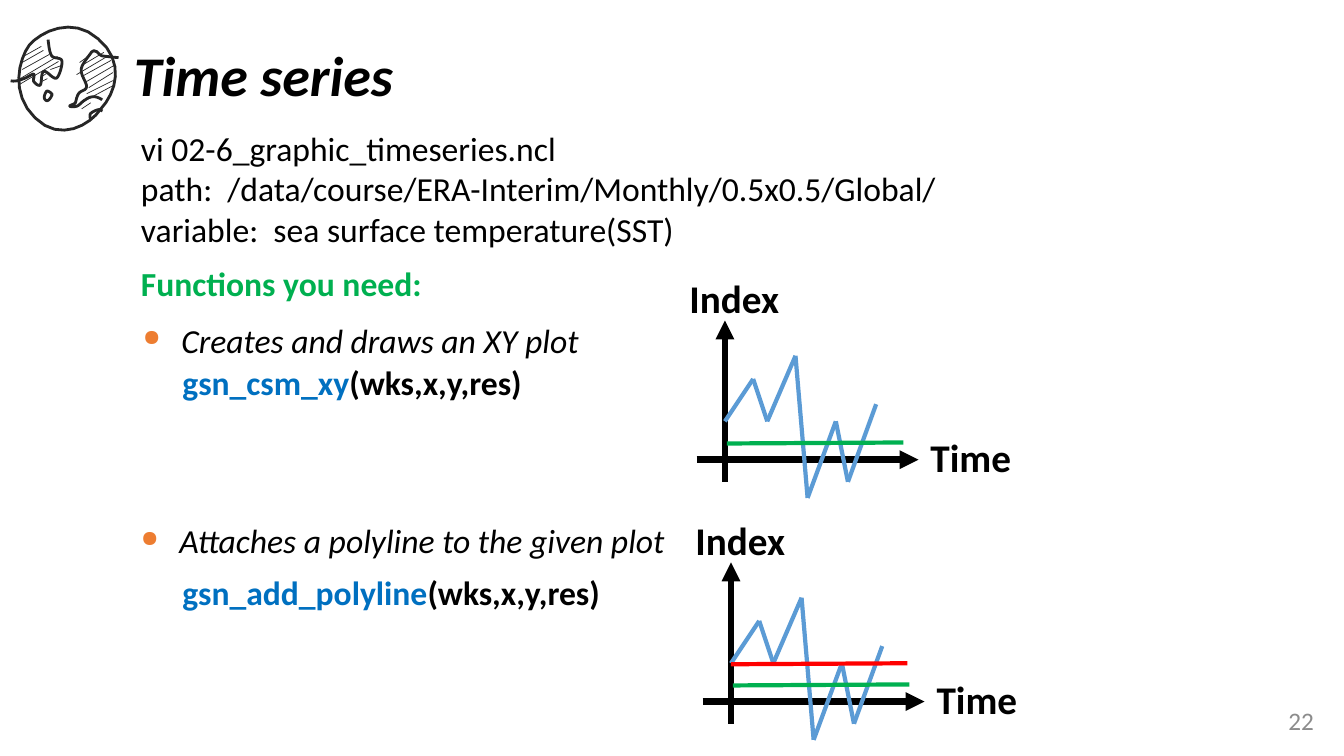
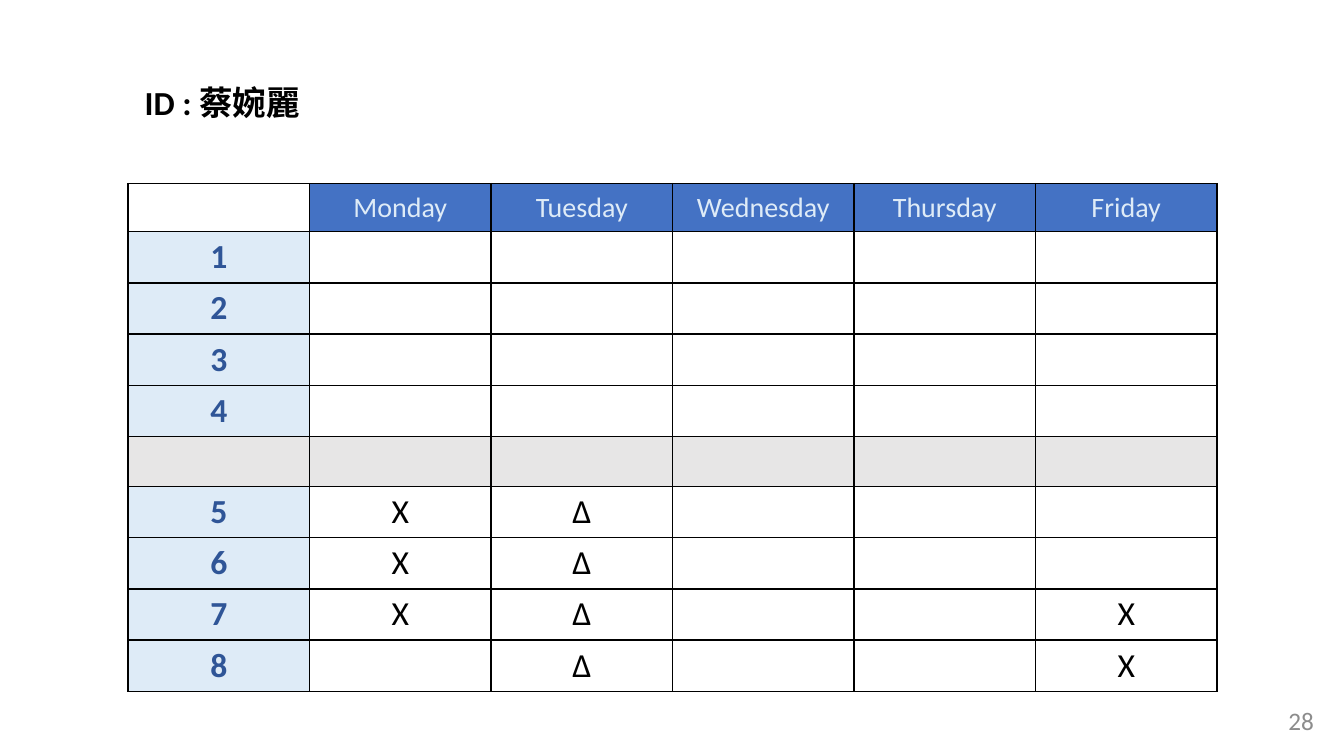
from itertools import pairwise

from lxml import etree
from pptx import Presentation
from pptx.dml.color import RGBColor
from pptx.enum.shapes import MSO_CONNECTOR as Connector
from pptx.enum.text import MSO_ANCHOR as Anchor, MSO_AUTO_SIZE as AutoSize, PP_ALIGN as Align
from pptx.oxml.ns import qn
from pptx.util import Inches, Pt

BLACK = RGBColor(0x00, 0x00, 0x00)
WHITE = RGBColor(0xFF, 0xFF, 0xFF)
INK = RGBColor(0x26, 0x26, 0x26)
PAGE_GRAY = RGBColor(0x8C, 0x8C, 0x8C)
BREAK_GRAY = RGBColor(0xE7, 0xE6, 0xE6)
GREEN = RGBColor(0x00, 0xB0, 0x50)
RED = RGBColor(0xFF, 0x00, 0x00)
CODE_BLUE = RGBColor(0x00, 0x70, 0xC0)
SERIES_BLUE = RGBColor(0x5B, 0x9B, 0xD5)
HEADER_BLUE = RGBColor(0x44, 0x72, 0xC4)
PALE_BLUE = RGBColor(0xDE, 0xEB, 0xF7)
PERIOD_BLUE = RGBColor(0x2F, 0x55, 0x97)
ORANGE = RGBColor(0xED, 0x7D, 0x31)

LATIN_FONT = "Calibri"
CJK_FONT = "Noto Sans CJK SC"

# Each outline: a start point, then three points for every Bézier curve.
GLOBE_OUTLINES = [
    [(0.2, 0.59), (0.26, 0.43), (0.5, 0.17), (0.82, 0.3), (1.15, 0.42), (1.17, 0.74),
     (1.08, 0.95), (1.04, 1.12), (0.82, 1.4), (0.5, 1.25), (0.18, 1.11), (0.15, 0.75),
     (0.2, 0.59)],
    [(0.39, 0.38), (0.42, 0.44), (0.45, 0.5), (0.48, 0.52), (0.51, 0.54), (0.57, 0.5),
     (0.59, 0.53), (0.61, 0.56), (0.62, 0.68), (0.6, 0.71), (0.58, 0.74), (0.48, 0.67),
     (0.46, 0.69), (0.43, 0.71), (0.48, 0.8), (0.47, 0.83), (0.46, 0.85), (0.41, 0.83),
     (0.4, 0.82), (0.38, 0.81), (0.39, 0.75), (0.37, 0.75), (0.36, 0.75), (0.32, 0.81),
     (0.29, 0.83), (0.26, 0.86), (0.21, 0.89), (0.18, 0.89)],
    [(0.45, 0.91), (0.46, 0.9), (0.52, 0.92), (0.51, 0.93), (0.51, 0.95), (0.5, 1.01),
     (0.47, 1), (0.43, 0.99), (0.44, 0.92), (0.45, 0.91)],
    [(1.08, 0.5), (1.02, 0.52), (0.96, 0.53), (0.92, 0.54), (0.88, 0.54), (0.86, 0.51),
     (0.85, 0.52), (0.83, 0.52), (0.83, 0.51), (0.81, 0.54), (0.8, 0.58), (0.76, 0.68),
     (0.77, 0.73), (0.78, 0.79), (0.87, 0.84), (0.88, 0.88), (0.89, 0.92), (0.84, 0.93),
     (0.83, 0.97), (0.82, 1), (0.83, 1.04), (0.83, 1.07), (0.82, 1.09), (0.78, 1.11),
     (0.79, 1.12), (0.8, 1.12), (0.84, 1.11), (0.86, 1.09), (0.88, 1.07), (0.89, 1.03),
     (0.91, 1.01), (0.93, 0.98), (0.95, 0.96), (0.98, 0.95), (1, 0.94), (1.04, 0.94),
     (1.07, 0.95)],
    [(1, 1.08), (0.98, 1.08), (0.97, 1.07), (0.96, 1.08), (0.94, 1.09), (0.91, 1.12),
     (0.9, 1.14), (0.89, 1.15), (0.9, 1.18), (0.92, 1.2)],
]
GLOBE_TILT = 19.9
GLOBE_HATCHING = [
    ((0.86, 0.93), (1.12, 0.8)), ((0.76, 0.74), (1.08, 0.55)), ((0.25, 0.55), (0.41, 0.46)),
    ((0.88, 0.87), (1.12, 0.72)), ((0.19, 0.84), (0.58, 0.61)), ((0.84, 0.82), (1.13, 0.65)),
    ((0.81, 0.76), (1.1, 0.6)), ((0.81, 0.65), (1.03, 0.52)), ((0.5, 0.69), (0.61, 0.65)),
    ((0.22, 0.69), (0.49, 0.54)), ((0.84, 1), (1.12, 0.85)), ((0.81, 1.08), (0.9, 1.02)),
    ((0.79, 0.62), (0.9, 0.54)), ((0.22, 0.62), (0.43, 0.5)), ((0.2, 0.78), (0.57, 0.56)),
    ((0.4, 0.77), (0.46, 0.73)), ((0.41, 0.81), (0.47, 0.78)),
]

# Offsets from the point where the series meets the vertical axis.
SERIES = [(0, 0), (0.28, -0.42), (0.42, 0), (0.7, -0.65), (0.82, 0.76), (1.1, 0),
          (1.22, 0.6), (1.5, -0.17)]
AXES = [((0, 0.6), (0, -1)), ((-0.28, 0.38), (1.92, 0.38))]
GREEN_LEVEL = (GREEN, (0.02, 0.22), (1.77, 0.21))
RED_LEVEL = (RED, (0, 0.01), (1.75, 0))

DAYS = ["Monday", "Tuesday", "Wednesday", "Thursday", "Friday"]
PERIODS = ["1", "2", "3", "4", "", "5", "6", "7", "8"]
MARKS = {
    "5": {"Monday": "X", "Tuesday": "∆"},
    "6": {"Monday": "X", "Tuesday": "∆"},
    "7": {"Monday": "X", "Tuesday": "∆", "Friday": "X"},
    "8": {"Tuesday": "∆", "Friday": "X"},
}


def curve_points(outline, steps=8):
    """Return points, as lengths, sampled along a chain of cubic Bézier curves."""
    points = [tuple(map(Inches, outline[0]))]
    for first in range(0, len(outline) - 1, 3):
        controls = outline[first:first + 4]
        for step in range(1, steps + 1):
            t = step / steps
            weights = ((1 - t) ** 3, 3 * t * (1 - t) ** 2, 3 * t ** 2 * (1 - t), t ** 3)
            points.append(tuple(
                Inches(sum(weight * control[axis] for weight, control in zip(weights, controls)))
                for axis in (0, 1)))
    return points


class Deck:
    """Holds the shared style and the slide being built."""

    def __init__(self):
        self.presentation = Presentation()
        self.presentation.slide_width = Inches(13.33)
        self.presentation.slide_height = Inches(7.5)
        self.slide = None

    def new_slide(self, number):
        self.slide = self.presentation.slides.add_slide(self.presentation.slide_layouts[6])
        page = self.text((10.13, 6.95, 3, 0.4), [[(str(number), {"size": 18, "color": PAGE_GRAY})]],
                         align=Align.RIGHT, wrap=True)
        page.text_frame.vertical_anchor = Anchor.MIDDLE

    def run(self, paragraph, text, size=24, color=BLACK, **values):
        run = paragraph.add_run()
        run.text = text
        font_values = {"name": LATIN_FONT, "size": Pt(size), **values}
        for name, value in font_values.items():
            setattr(run.font, name, value)
        run.font.color.rgb = color
        if font_values["name"] == CJK_FONT:
            properties = run.font._element
            etree.SubElement(properties, qn("a:ea")).set("typeface", CJK_FONT)

    def text(self, box, paragraphs, align=Align.LEFT, wrap=False, bullet=False):
        """Add a text box; each paragraph is a list of (text, format) runs."""
        shape = self.slide.shapes.add_textbox(*map(Inches, box))
        frame = shape.text_frame
        frame.word_wrap = wrap
        frame.auto_size = AutoSize.NONE if wrap else AutoSize.SHAPE_TO_FIT_TEXT
        for index, runs in enumerate(paragraphs):
            paragraph = frame.add_paragraph() if index else frame.paragraphs[0]
            paragraph.alignment = align
            if bullet:
                self.bullet(paragraph)
            for text, values in runs:
                self.run(paragraph, text, **values)
        return shape

    def bullet(self, paragraph):
        properties = paragraph._p.get_or_add_pPr()
        indent = Inches(0.38)
        properties.set("marL", str(indent))
        properties.set("indent", str(-indent))
        color = etree.SubElement(properties, qn("a:buClr"))
        etree.SubElement(color, qn("a:srgbClr")).set("val", str(ORANGE))
        etree.SubElement(properties, qn("a:buSzPct")).set("val", "67000")
        etree.SubElement(properties, qn("a:buChar")).set("char", "●")

    def title(self, text):
        self.text((1.23, 0.35, 2.8, 0.77), [[(text, {"size": 40, "bold": True, "italic": True})]])

    def line(self, start, end, color, width, arrow=False):
        connector = self.slide.shapes.add_connector(
            Connector.STRAIGHT, *map(Inches, (*start, *end)))
        connector.line.color.rgb = color
        connector.line.width = Pt(width)
        if arrow:
            etree.SubElement(connector.line._get_or_add_ln(), qn("a:tailEnd")).set("type", "triangle")
        etree.SubElement(connector._element.spPr, qn("a:effectLst"))

    def outline(self, outline, rotation):
        start, *points = curve_points(outline)
        builder = self.slide.shapes.build_freeform(*start)
        builder.add_line_segments(points, close=outline[0] == outline[-1])
        shape = builder.convert_to_shape()
        shape.shadow.inherit = False
        shape.fill.background()
        shape.line.color.rgb = INK
        shape.line.width = Pt(2)
        shape.rotation = rotation

    def globe(self):
        for outline in GLOBE_OUTLINES:
            self.outline(outline, GLOBE_TILT)
        for start, end in GLOBE_HATCHING:
            self.line(start, end, INK, 0.5)

    def plot(self, left, top, levels):
        """Sketch a time series from its starting point, with level lines."""
        def place(point):
            return left + point[0], top + point[1]

        for start, end in AXES:
            self.line(place(start), place(end), BLACK, 4.5, arrow=True)
        for start, end in pairwise(SERIES):
            self.line(place(start), place(end), SERIES_BLUE, 3)
        for label, offset, width in (("Time", (1.94, 0.07), 1.01), ("Index", (-0.45, -1.51), 1.1)):
            self.text((*place(offset), width, 0.57), [[(label, {"size": 28, "bold": True})]])
        for color, start, end in levels:
            self.line(place(start), place(end), color, 3)

    def cell(self, cell, text, fill, **values):
        properties = cell._tc.get_or_add_tcPr()
        for side in ("lnL", "lnR", "lnT", "lnB"):
            border = etree.SubElement(properties, qn(f"a:{side}"), w=str(Pt(1)))
            solid = etree.SubElement(border, qn("a:solidFill"))
            etree.SubElement(solid, qn("a:srgbClr")).set("val", str(BLACK))
        cell.fill.solid()
        cell.fill.fore_color.rgb = fill
        cell.vertical_anchor = Anchor.MIDDLE
        if text:
            paragraph = cell.text_frame.paragraphs[0]
            paragraph.alignment = Align.CENTER
            self.run(paragraph, text, **values)

    def timetable(self, left, top):
        rows, columns = len(PERIODS) + 1, len(DAYS) + 1
        table = self.slide.shapes.add_table(
            rows, columns, *map(Inches, (left, top, 1.8 * columns, 4.98))).table
        table.first_row = table.horz_banding = False
        for column in table.columns:
            column.width = Inches(1.8)
        for index, row in enumerate(table.rows):
            row.height = Inches(0.5 if index else 0.48)
        self.cell(table.cell(0, 0), "", WHITE)
        for column, day in enumerate(DAYS, 1):
            self.cell(table.cell(0, column), day, HEADER_BLUE, size=20, color=PALE_BLUE)
        for row, period in enumerate(PERIODS, 1):
            self.cell(table.cell(row, 0), period, PALE_BLUE if period else BREAK_GRAY,
                      color=PERIOD_BLUE, bold=True)
            for column, day in enumerate(DAYS, 1):
                self.cell(table.cell(row, column), MARKS.get(period, {}).get(day, ""),
                          WHITE if period else BREAK_GRAY)


def time_series_slide(deck):
    deck.new_slide(22)
    deck.title("Time series")
    deck.globe()
    deck.text((1.3, 1.22, 8.15, 1.31), [[(line, {})] for line in (
        "vi 02-6_graphic_timeseries.ncl",
        "path:  /data/course/ERA-Interim/Monthly/0.5x0.5/Global/",
        "variable:  sea surface temperature(SST)")])
    deck.text((1.3, 2.56, 3.09, 0.5), [[("Functions you need:", {"color": GREEN, "bold": True})]])
    functions = [
        ("Creates and draws an XY plot", (1.32, 3.12, 4.64, 0.5),
         "gsn_csm_xy", (1.71, 3.54, 3.68, 0.5)),
        ("Attaches a polyline to the given plot", (1.3, 5.11, 5.53, 0.5),
         "gsn_add_polyline", (1.71, 5.62, 4.47, 0.5)),
    ]
    for purpose, purpose_box, function, function_box in functions:
        deck.text(purpose_box, [[(purpose, {"italic": True})]], bullet=True)
        deck.text(function_box, [[(function, {"color": CODE_BLUE, "bold": True}),
                                  ("(wks,x,y,res)", {"bold": True})]])
    deck.plot(7.25, 6.58, [RED_LEVEL, GREEN_LEVEL])
    deck.plot(7.19, 4.18, [GREEN_LEVEL])


def timetable_slide(deck):
    deck.new_slide(28)
    deck.timetable(1.27, 1.82)
    deck.text((1.27, 0.76, 1.87, 0.5), [[("ID : ", {"bold": True}),
                                         ("蔡婉麗", {"bold": True, "name": CJK_FONT})]],
              align=Align.CENTER)


def main():
    deck = Deck()
    time_series_slide(deck)
    timetable_slide(deck)
    deck.presentation.save("out.pptx")


if __name__ == "__main__":
    main()
